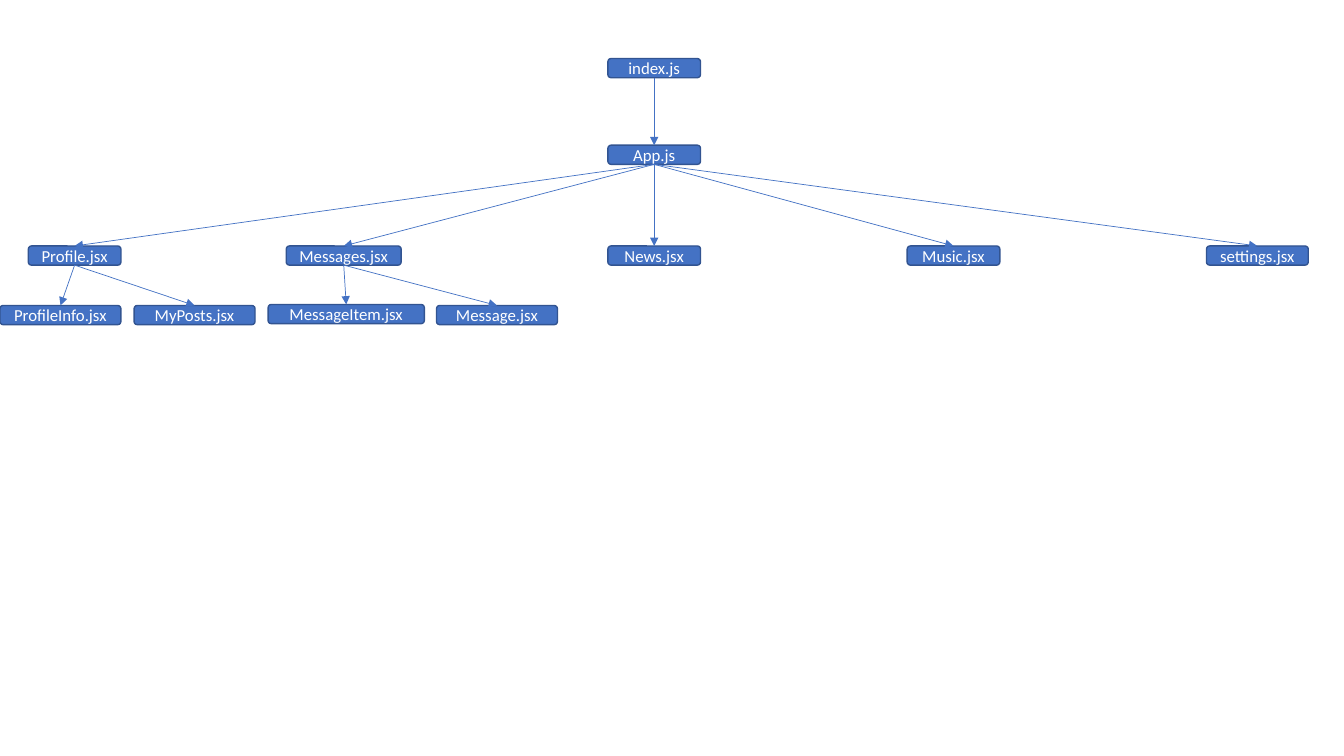
from lxml import etree
from pptx import Presentation
from pptx.dml.color import RGBColor
from pptx.enum.shapes import MSO_CONNECTOR, MSO_SHAPE
from pptx.enum.text import MSO_ANCHOR, PP_ALIGN
from pptx.oxml.ns import qn
from pptx.util import Pt

STRAIGHT = MSO_CONNECTOR.STRAIGHT
ROUNDED = MSO_SHAPE.ROUNDED_RECTANGLE
MIDDLE = MSO_ANCHOR.MIDDLE
CENTER = PP_ALIGN.CENTER

BLUE = RGBColor(0x44, 0x72, 0xC4)
DARK_BLUE = RGBColor(0x32, 0x54, 0x91)
WHITE = RGBColor(0xFF, 0xFF, 0xFF)

FONT = "Calibri"
BLANK_LAYOUT = 6
TOP_SIDE, BOTTOM_SIDE = 0, 2
BOX_HEIGHT = 13.7
NARROW, WIDE = 66.2, 86.4
TRUNK_LEFT = 434.2
ENTRY_TOP, APP_TOP, PAGES_TOP, PARTS_TOP = 41.8, 103.7, 175.7, 218.2

COMPONENTS = [
    ("index.js", None, TRUNK_LEFT, ENTRY_TOP, NARROW),
    ("App.js", "index.js", TRUNK_LEFT, APP_TOP, NARROW),
    ("Profile.jsx", "App.js", 20.2, PAGES_TOP, NARROW),
    ("Messages.jsx", "App.js", 204.5, PAGES_TOP, 82.1),
    ("News.jsx", "App.js", TRUNK_LEFT, PAGES_TOP, NARROW),
    ("Music.jsx", "App.js", 648, PAGES_TOP, NARROW),
    ("settings.jsx", "App.js", 861.8, PAGES_TOP, 72.7),
    ("ProfileInfo.jsx", "Profile.jsx", 0, PARTS_TOP, WIDE),
    ("MyPosts.jsx", "Profile.jsx", 95.8, PARTS_TOP, WIDE),
    ("MessageItem.jsx", "Messages.jsx", 191.5, 217.5, 111.6),
    ("Message.jsx", "Messages.jsx", 311.8, PARTS_TOP, WIDE),
]


def add_component(page, name, left, top, width):
    """Draw one rounded box with a component's file name."""
    box = page.shapes.add_shape(
        ROUNDED, Pt(left), Pt(top), Pt(width), Pt(BOX_HEIGHT))
    box.shadow.inherit = False
    box.fill.solid()
    box.fill.fore_color.rgb = BLUE
    box.line.color.rgb = DARK_BLUE
    box.line.width = Pt(1)
    box.text_frame.vertical_anchor = MIDDLE
    para = box.text_frame.paragraphs[0]
    para.alignment = CENTER
    span = para.add_run()
    span.text = name
    span.font.name = FONT
    span.font.size = Pt(12)
    span.font.color.rgb = WHITE
    return box


def add_arrow(page, parent, child):
    """Join the bottom of a parent box to the top of its child."""
    arrow = page.shapes.add_connector(STRAIGHT, 0, 0, 0, 0)
    arrow.begin_connect(parent, BOTTOM_SIDE)
    arrow.end_connect(child, TOP_SIDE)
    arrow.line.color.rgb = BLUE
    arrow.line.width = Pt(0.5)
    outline = arrow.line._get_or_add_ln()
    etree.SubElement(outline, qn("a:tailEnd"), type="triangle")
    etree.SubElement(arrow._element.spPr, qn("a:effectLst"))


def main():
    """Build the component tree and save the deck."""
    deck = Presentation()
    deck.slide_width, deck.slide_height = Pt(960), Pt(540)
    page = deck.slides.add_slide(deck.slide_layouts[BLANK_LAYOUT])
    boxes = {}
    for name, parent, left, top, width in COMPONENTS:
        boxes[name] = add_component(page, name, left, top, width)
        if parent:
            add_arrow(page, boxes[parent], boxes[name])
    deck.save("out.pptx")


if __name__ == "__main__":
    main()
